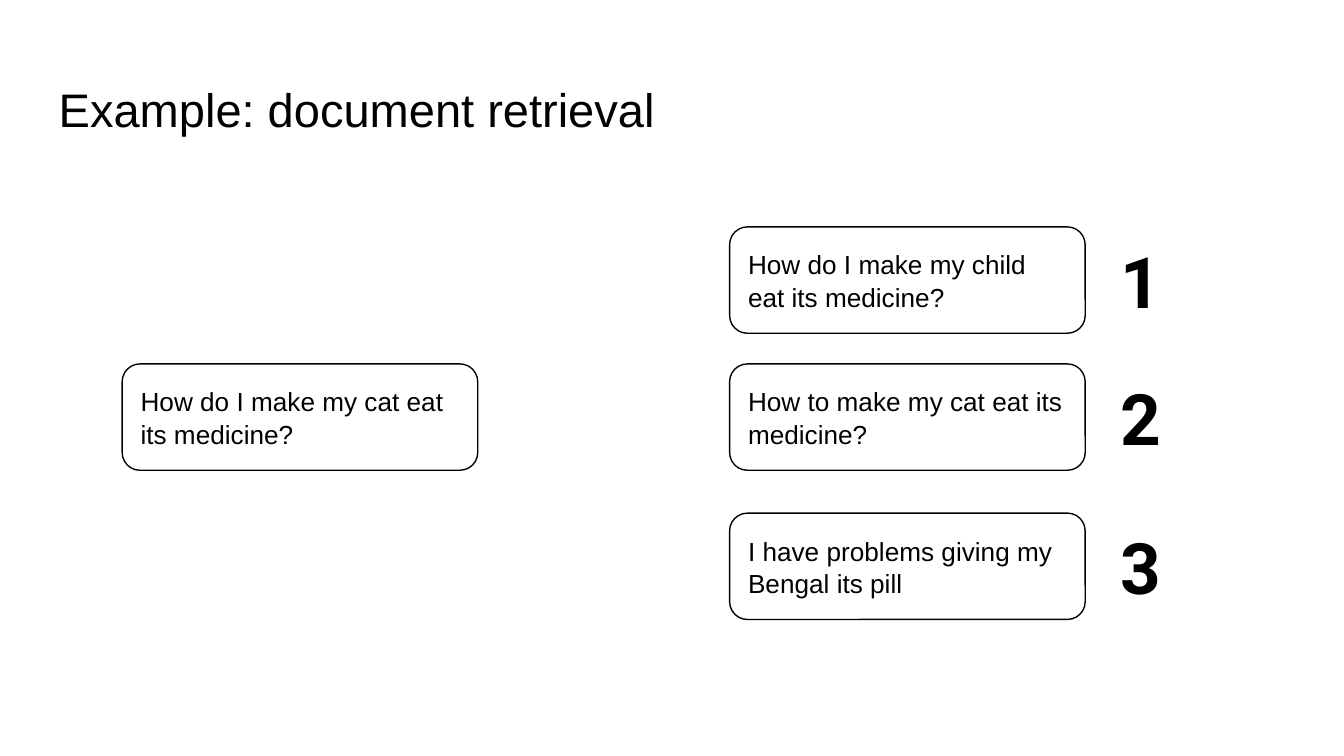
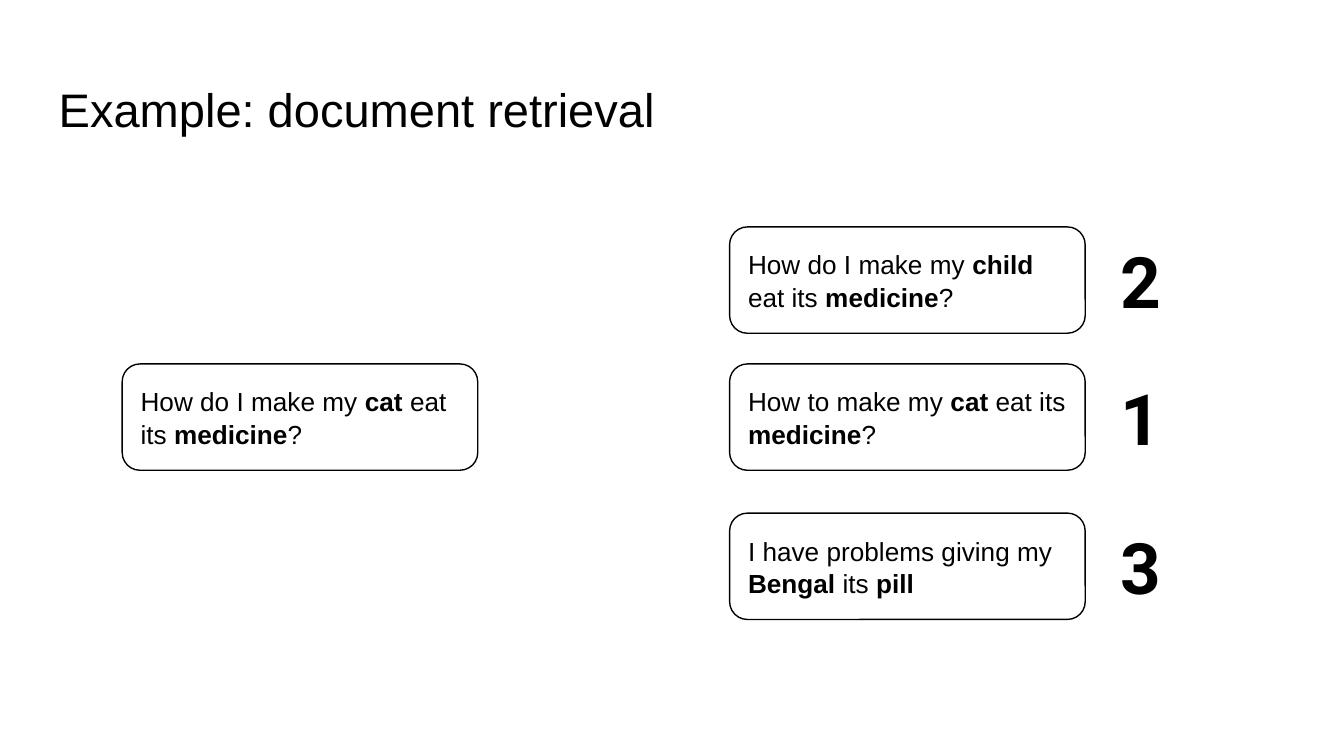
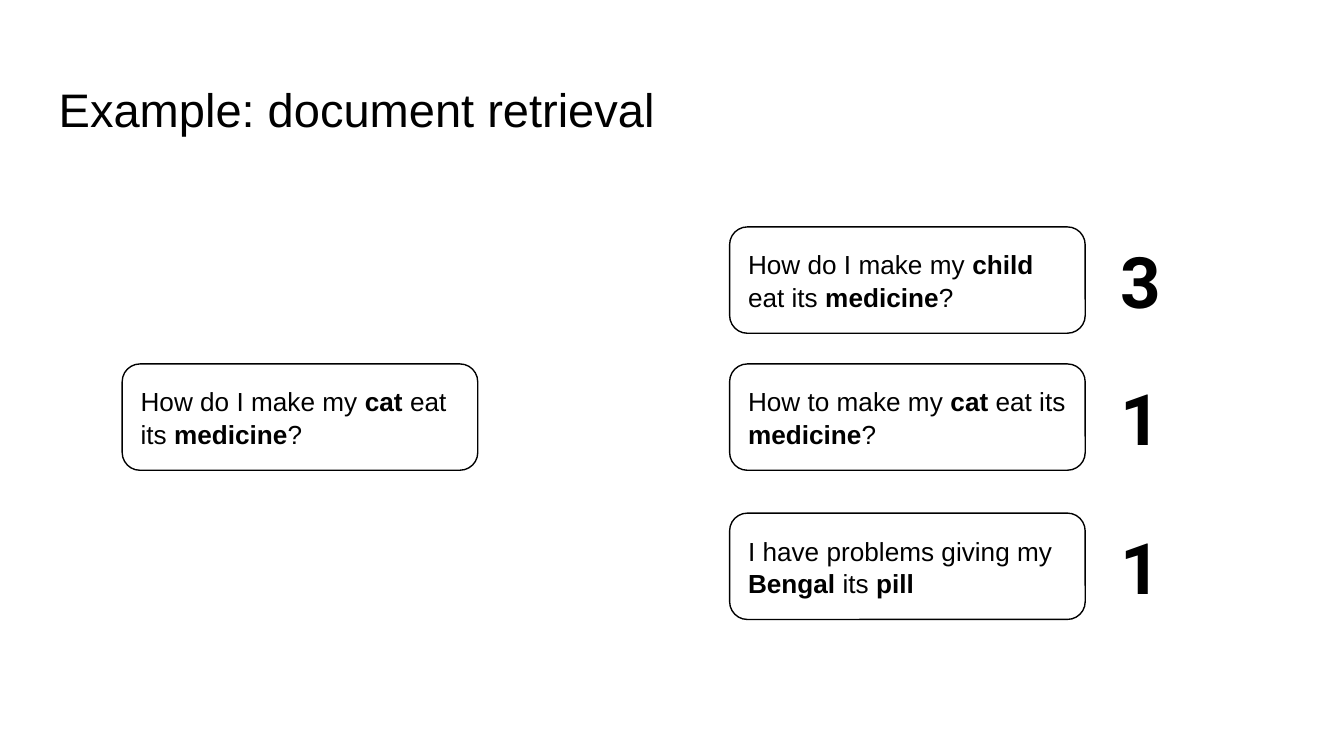
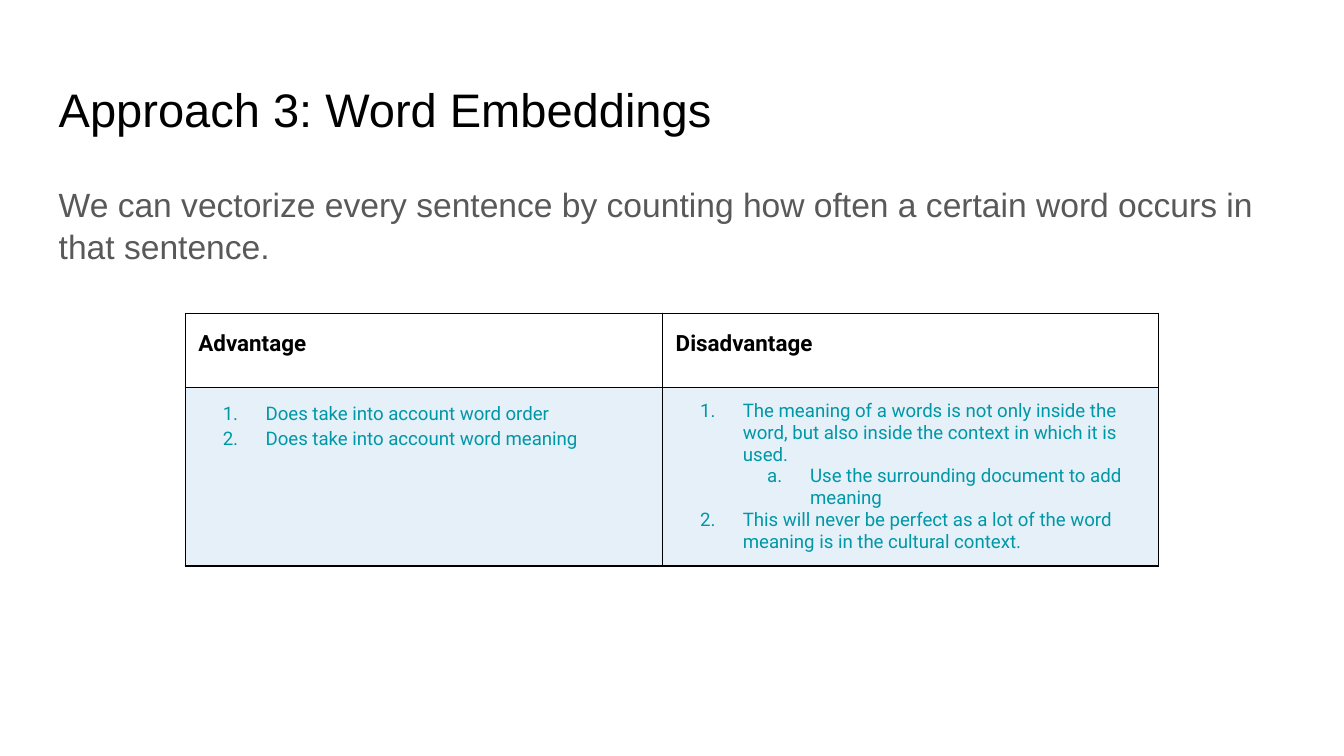
from lxml import etree
from pptx import Presentation
from pptx import util as u
from pptx.dml import color
from pptx.enum import shapes, text
from pptx.oxml import ns

BLACK, GRAY, TEAL, PALE_BLUE = "000000", "595959", "0097A7", "E5F0F9"
MARGIN_LEFT, CONTENT_WIDTH = u.Cm(0.86), u.Cm(23.67)
LINE_SPACING = 1.04


def rgb(hex_string):
    return color.RGBColor.from_string(hex_string)


def write(paragraph, content, size, name, hex_string, bold=False):
    for index, part in enumerate(content.split("*")):
        if part:
            run = paragraph.add_run()
            run.text = part
            if index % 2:
                run.font.bold = True
    paragraph.font.size = u.Pt(size)
    paragraph.font.name = name
    paragraph.font.bold = bold
    paragraph.font.color.rgb = rgb(hex_string)


presentation = Presentation()
presentation.slide_width = u.Cm(25.4)
presentation.slide_height = u.Cm(14.29)
text_layout, title_layout = presentation.slide_layouts[1], presentation.slide_layouts[5]

query = "How do I make my *cat* eat its *medicine*?"
documents = [
    "How do I make my *child* eat its *medicine*?",
    "How to make my *cat* eat its *medicine*?",
    "I have problems giving my *Bengal* its *pill*",
]
query_left, document_left, rank_left = 2.31, 13.79, 20.7
document_tops = [4.29, 6.88, 9.7]
box_width, box_height = 6.72, 2.01
rank_width, rank_height = 1.73, 1.65

titles = []
for ranks, keywords_bold in [("123", False), ("213", True), ("311", True)]:
    slide = presentation.slides.add_slide(title_layout)
    titles.append((slide.shapes.title, "Example: document retrieval"))

    boxes = [(query_left, document_tops[1], query)]
    boxes += [(document_left, top, document) for top, document in zip(document_tops, documents)]
    for left, top, sentence in boxes:
        box = slide.shapes.add_shape(
            shapes.MSO_SHAPE.ROUNDED_RECTANGLE,
            u.Cm(left), u.Cm(top), u.Cm(box_width), u.Cm(box_height))
        box.shadow.inherit = False
        box.fill.background()
        box.line.color.rgb = rgb(BLACK)
        box.line.width = u.Pt(0.75)
        box.text_frame.vertical_anchor = text.MSO_ANCHOR.MIDDLE
        paragraph = box.text_frame.paragraphs[0]
        paragraph.alignment = text.PP_ALIGN.LEFT
        paragraph.line_spacing = LINE_SPACING
        write(paragraph, sentence if keywords_bold else sentence.replace("*", ""), 14, "Arial", BLACK)

    for top, rank in zip(document_tops, ranks):
        label = slide.shapes.add_shape(
            shapes.MSO_SHAPE.ROUNDED_RECTANGLE,
            u.Cm(rank_left), u.Cm(top + (box_height - rank_height) / 2),
            u.Cm(rank_width), u.Cm(rank_height))
        label.shadow.inherit = False
        label.fill.background()
        label.line.fill.background()
        label.text_frame.vertical_anchor = text.MSO_ANCHOR.MIDDLE
        paragraph = label.text_frame.paragraphs[0]
        paragraph.alignment = text.PP_ALIGN.CENTER
        write(paragraph, rank, 38, "Roboto", BLACK, True)
    for shape in slide.shapes:
        frame = shape.text_frame
        frame.margin_left = frame.margin_right = frame.margin_top = frame.margin_bottom = u.Cm(0.25)

slide = presentation.slides.add_slide(text_layout)
titles.append((slide.shapes.title, "Approach 3: Word Embeddings"))

body = slide.placeholders[1]
body.left, body.top, body.width, body.height = MARGIN_LEFT, u.Cm(3.2), CONTENT_WIDTH, u.Cm(9.5)
frame = body.text_frame
frame.margin_left = frame.margin_right = frame.margin_top = frame.margin_bottom = u.Cm(0.25)
frame.auto_size = text.MSO_AUTO_SIZE.NONE
paragraph = frame.paragraphs[0]
paragraph.line_spacing = LINE_SPACING
paragraph.space_before = u.Pt(0)
properties = paragraph._p.get_or_add_pPr()
properties.set("marL", "0")
properties.set("indent", "0")
etree.SubElement(properties, ns.qn("a:buNone"))
write(paragraph,
      "We can vectorize every sentence by counting how often a certain word occurs in that sentence.",
      18, "Arial", GRAY)

columns = [
    ("Advantage", 9.02, 1.15, [
        (0, "Does take into account word order"),
        (0, "Does take into account word meaning"),
    ]),
    ("Disadvantage", 9.37, 1.0, [
        (0, "The meaning of a words is not only inside the word, "
            "but also inside the context in which it is used."),
        (1, "Use the surrounding document to add meaning"),
        (0, "This will never be perfect as a lot of the word meaning is in the cultural context."),
    ]),
]
row_heights = [1.4, 2.34]
graphic_frame = slide.shapes.add_table(
    2, 2, u.Cm(3.5), u.Cm(5.92),
    u.Cm(sum(column[1] for column in columns)), u.Cm(sum(row_heights)))
table = graphic_frame.table
table.first_row = table.horz_banding = False
for row, height in zip(table.rows, row_heights):
    row.height = u.Cm(height)

for cell in table.iter_cells():
    cell.margin_left = cell.margin_right = cell.margin_top = cell.margin_bottom = u.Cm(0.25)
    for side in ("lnL", "lnR", "lnT", "lnB"):
        border = etree.SubElement(cell._tc.get_or_add_tcPr(), ns.qn("a:" + side), w=str(u.Pt(0.75)))
        line_fill = etree.SubElement(border, ns.qn("a:solidFill"))
        etree.SubElement(line_fill, ns.qn("a:srgbClr"), val=BLACK)

for index, (heading, width, spacing, points) in enumerate(columns):
    table.columns[index].width = u.Cm(width)
    header = table.cell(0, index)
    header.fill.background()
    paragraph = header.text_frame.paragraphs[0]
    paragraph.line_spacing = 1.15
    paragraph.space_after = u.Pt(16)
    write(paragraph, heading, 12, "Roboto", BLACK, True)

    cell = table.cell(1, index)
    cell.fill.solid()
    cell.fill.fore_color.rgb = rgb(PALE_BLUE)
    for number, (level, point) in enumerate(points):
        frame = cell.text_frame
        paragraph = frame.add_paragraph() if number else frame.paragraphs[0]
        paragraph.level = level
        paragraph.line_spacing = spacing
        properties = paragraph._p.get_or_add_pPr()
        properties.set("marL", str(u.Cm(1.27 * (level + 1))))
        properties.set("indent", str(u.Cm(-0.81)))
        bullet_color = etree.SubElement(properties, ns.qn("a:buClr"))
        etree.SubElement(bullet_color, ns.qn("a:srgbClr"), val=TEAL)
        etree.SubElement(properties, ns.qn("a:buFont"), typeface="Roboto")
        etree.SubElement(properties, ns.qn("a:buAutoNum"),
                         type="alphaLcPeriod" if level else "arabicPeriod")
        write(paragraph, point, 10, "Roboto", TEAL)

for title, heading in titles:
    title.left, title.top, title.width, title.height = MARGIN_LEFT, u.Cm(1.24), CONTENT_WIDTH, u.Cm(1.6)
    frame = title.text_frame
    frame.margin_left = frame.margin_right = frame.margin_top = frame.margin_bottom = u.Cm(0.25)
    frame.auto_size = text.MSO_AUTO_SIZE.NONE
    frame.vertical_anchor = text.MSO_ANCHOR.BOTTOM
    paragraph = frame.paragraphs[0]
    paragraph.alignment = text.PP_ALIGN.LEFT
    write(paragraph, heading, 25.2, "Arial", BLACK)

presentation.save("out.pptx")
